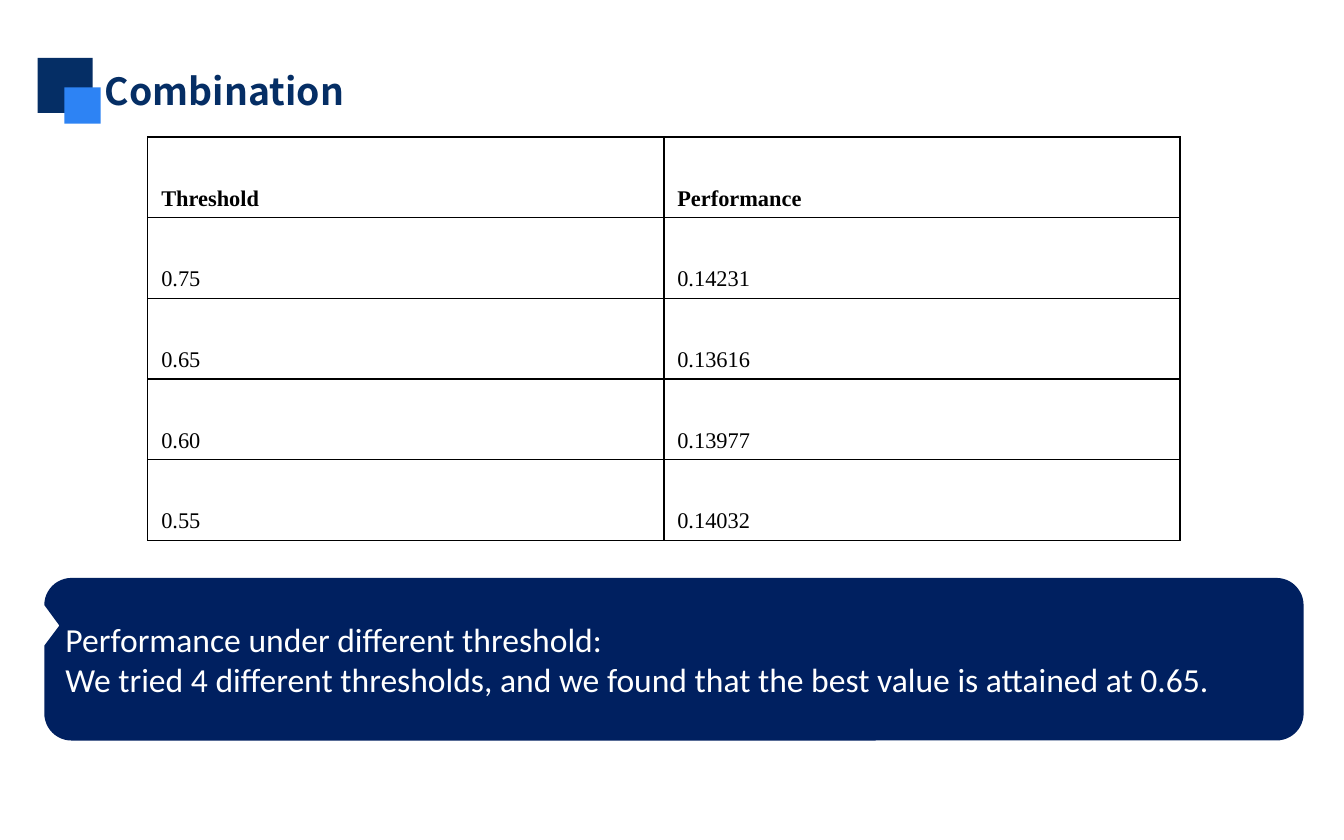
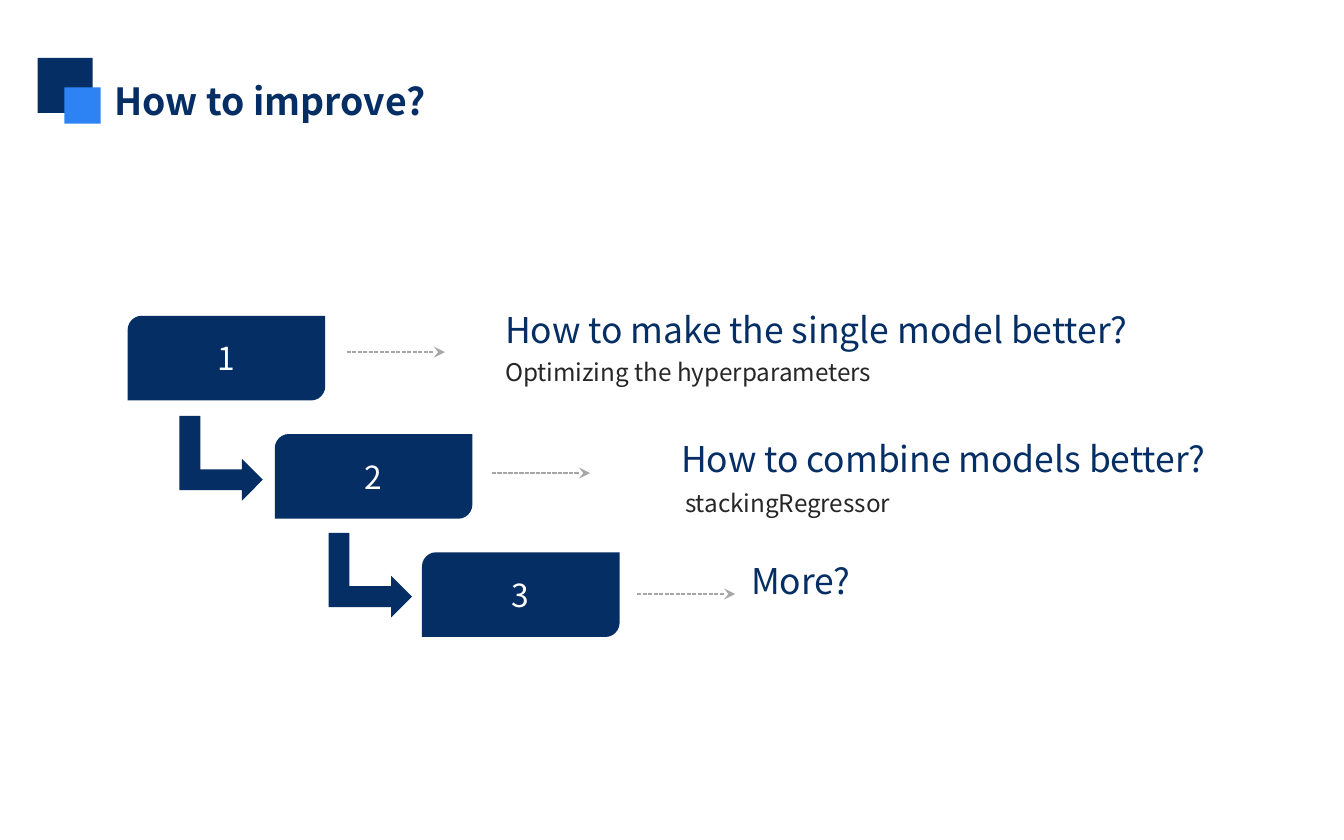
"""Build two slides on threshold results and next steps."""
from dataclasses import dataclass

from lxml import etree
from pptx import Presentation
from pptx.dml.color import RGBColor
from pptx.enum import dml, shapes, text
from pptx.oxml import ns
from pptx.util import Inches, Pt


@dataclass(frozen=True)
class Theme:
    """Hold the colours, fonts and type sizes."""
    navy: str = "052E65"
    blue: str = "2D83F4"
    deep: str = "002060"
    white: str = "FFFFFF"
    black: str = "000000"
    ink: str = "262626"
    gray: str = "A6A6A6"
    main: str = "Noto Sans CJK SC"
    plain: str = "Calibri"
    serif: str = "Times New Roman"
    title: int = 20
    head: int = 19
    lead: int = 18
    num: int = 17
    note: int = 13
    cell: int = 12
    line: float = 0.75


T = Theme()
KIND = shapes.MSO_SHAPE
LEFT, MID = text.PP_ALIGN.LEFT, text.PP_ALIGN.CENTER
ANCHOR = text.MSO_ANCHOR

ROWS = [
    ("Threshold", "Performance"),
    ("0.75", "0.14231"),
    ("0.65", "0.13616"),
    ("0.60", "0.13977"),
    ("0.55", "0.14032"),
]
CLAIM = [
    "Performance under different threshold:",
    "We tried 4 different thresholds, and we found that the best value is attained at 0.65.",
]
HEADS = [
    ("How to make the single model better?", 3.66, 2.26, 5.18),
    ("How to combine models better?", 4.97, 3.22, 4.19),
    ("More?", 5.49, 4.13, 1.33),
]
NOTES = [
    ("Optimizing the hyperparameters", 3.66, 2.6),
    ("stackingRegressor", 5, 3.57),
]


def write(frame, lines, size, color, font=T.main, bold=False, align=LEFT, anchor=ANCHOR.MIDDLE):
    """Fill a text frame with one styled run per paragraph."""
    frame.word_wrap = True
    frame.vertical_anchor = anchor
    for i, line in enumerate(lines):
        para = frame.paragraphs[0] if i == 0 else frame.add_paragraph()
        para.alignment = align
        run = para.add_run()
        run.text = line
        run.font.size = Pt(size)
        run.font.name = font
        run.font.bold = bold
        run.font.color.rgb = RGBColor.from_string(color)


def block(slide, kind, x, y, w, h, color):
    """Add a flat filled shape."""
    shape = slide.shapes.add_shape(kind, Inches(x), Inches(y), Inches(w), Inches(h))
    shape.shadow.inherit = False
    shape.fill.solid()
    shape.fill.fore_color.rgb = RGBColor.from_string(color)
    shape.line.fill.background()
    return shape


def label(slide, words, x, y, w, h, size, color):
    """Add a line of text in its own box."""
    box = slide.shapes.add_textbox(Inches(x), Inches(y), Inches(w), Inches(h))
    write(box.text_frame, [words], size, color)


def page(deck, words, x, y, w):
    """Add a slide with its title and the two square marks."""
    slide = deck.slides.add_slide(deck.slide_layouts.get_by_name("Title Only"))
    title = slide.shapes.title
    title.left, title.top, title.width, title.height = map(Inches, (x, y, w, 0.45))
    title.text_frame.auto_size = text.MSO_AUTO_SIZE.NONE
    write(title.text_frame, [words], T.title, T.navy, bold=True, anchor=ANCHOR.TOP)
    block(slide, KIND.RECTANGLE, 0.28, 0.43, 0.41, 0.41, T.navy)
    block(slide, KIND.RECTANGLE, 0.48, 0.65, 0.27, 0.27, T.blue)
    return slide


def edge(cell):
    """Draw a thin line on each side of a cell."""
    props = cell._tc.get_or_add_tcPr()
    for i, side in enumerate(("lnL", "lnR", "lnT", "lnB")):
        line = etree.Element(ns.qn(f"a:{side}"), w=str(Pt(T.line)))
        fill = etree.SubElement(line, ns.qn("a:solidFill"))
        etree.SubElement(fill, ns.qn("a:srgbClr"), val=T.black)
        props.insert(i, line)


def grid(slide, rows, x, y, w, h):
    """Add a ruled table with a bold first row."""
    frame = slide.shapes.add_table(
        len(rows), len(rows[0]), Inches(x), Inches(y), Inches(w), Inches(h))
    table = frame.table
    table.first_row = table.horz_banding = False
    for r, row in enumerate(rows):
        for c, words in enumerate(row):
            cell = table.cell(r, c)
            cell.fill.background()
            cell.vertical_anchor = ANCHOR.BOTTOM
            write(cell.text_frame, [words], T.cell, T.black, T.serif,
                  bold=r == 0, anchor=ANCHOR.BOTTOM)
            edge(cell)


def arrow(slide, x, y, w):
    """Add a dashed arrow that points right."""
    line = slide.shapes.add_connector(
        shapes.MSO_CONNECTOR.STRAIGHT, Inches(x), Inches(y), Inches(x + w), Inches(y))
    line.line.width = Pt(T.line)
    line.line.color.rgb = RGBColor.from_string(T.gray)
    line.line.dash_style = dml.MSO_LINE.SQUARE_DOT
    etree.SubElement(line.line._get_or_add_ln(), ns.qn("a:tailEnd"), type="stealth")
    etree.SubElement(line._element.spPr, ns.qn("a:effectLst"))


def card(slide, num, x, y):
    """Add a numbered step card."""
    shape = block(slide, KIND.ROUND_2_DIAG_RECTANGLE, x, y, 1.47, 0.63, T.navy)
    write(shape.text_frame, [num], T.num, T.white, align=MID)


def bend(slide, x, y):
    """Add an elbow arrow that leads to the next card."""
    block(slide, KIND.BENT_UP_ARROW, x, y, 0.63, 0.62, T.navy).rotation = 90


def results(deck):
    """Build the threshold slide."""
    slide = page(deck, "Combination", 0.68, 0.46, 2.89)
    call = block(slide, KIND.ROUNDED_RECTANGULAR_CALLOUT, 0.33, 4.3, 9.37, 1.21, T.deep)
    for i, value in enumerate((-0.488, -0.207, 0.167)):
        call.adjustments[i] = value
    write(call.text_frame, CLAIM, T.lead, T.white, T.plain)
    grid(slide, ROWS, 1.1, 1.02, 7.68, 3)


def steps(deck):
    """Build the slide of next steps."""
    slide = page(deck, "How to improve?", 0.75, 0.53, 3)
    for i, (words, x, y, w) in enumerate(HEADS):
        card(slide, str(i + 1), 0.95 + 1.095 * i, 2.35 + 0.88 * i)
        arrow(slide, 2.58 + 1.08 * i, 2.62 + 0.9 * i, 0.73)
        label(slide, words, x, y, w, 0.38, T.head, T.navy)
    for i, (words, x, y) in enumerate(NOTES):
        bend(slide, 1.33 + 1.11 * i, 3.1 + 0.87 * i)
        label(slide, words, x, y, 3.1, 0.34, T.note, T.ink)


def main():
    """Build and save the deck."""
    deck = Presentation()
    deck.slide_width, deck.slide_height = Inches(10), Inches(6.25)
    results(deck)
    steps(deck)
    deck.save("out.pptx")


if __name__ == "__main__":
    main()
